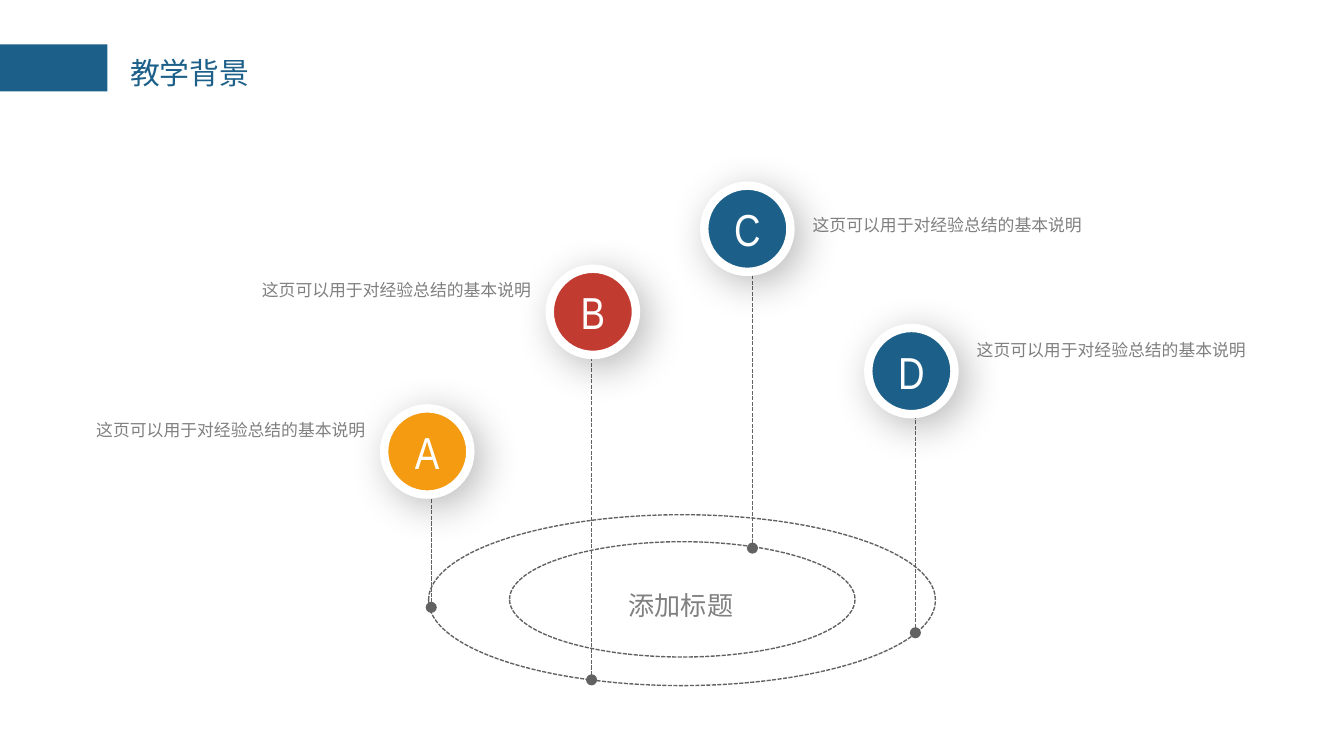
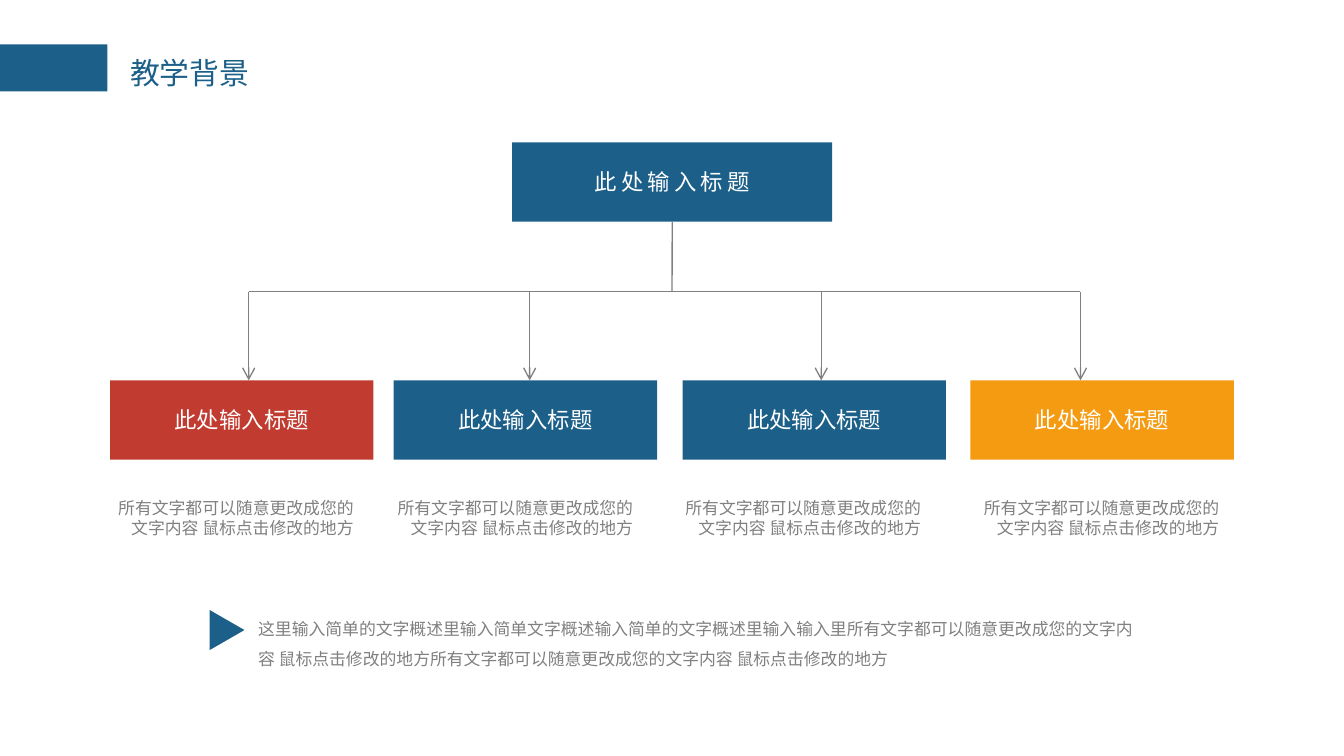
from lxml.etree import SubElement
from pptx import Presentation
from pptx.dml.color import RGBColor
from pptx.enum.dml import MSO_LINE
from pptx.enum.shapes import MSO_CONNECTOR, MSO_SHAPE
from pptx.enum.text import MSO_ANCHOR, MSO_AUTO_SIZE, PP_ALIGN
from pptx.oxml.ns import qn
from pptx.util import Cm, Pt

BLUE, RED, GOLD = "1C6089", "C13B30", "F59B11"
GREY, DARK, WHITE = "808080", "626262", "FFFFFF"
SANS = "Noto Sans CJK SC"
WIDE, SLIM = (0.25, 0.13), (0.18, 0.1)  # text insets: sides, top and bottom


def rgb(code):
    return RGBColor.from_string(code)


class Deck:
    def __init__(self):
        self.prs = Presentation()
        self.prs.slide_width, self.prs.slide_height = Cm(25.4), Cm(14.29)
        self.slide = None

    def page(self, title):
        """Start a slide with the blue band and its title."""
        self.slide = self.prs.slides.add_slide(self.prs.slide_layouts[5])
        self.shape(MSO_SHAPE.RECTANGLE, 0, 0.84, 2.03, 0.89, BLUE)
        head = self.slide.shapes.title
        head.left, head.top, head.width, head.height = map(Cm, (2.26, 0.94, 2.67, 0.89))
        self.label(head, title, 16, BLUE, "Calibri", pad=(0.2, 0.1), wrap=False)

    def label(self, shape, text, size, color, font=SANS, align=PP_ALIGN.LEFT,
              pad=(0, 0), wrap=True, anchor=MSO_ANCHOR.TOP, space=None, track=0):
        frame = shape.text_frame
        frame.text = text
        frame.auto_size = MSO_AUTO_SIZE.NONE
        frame.word_wrap = wrap
        frame.vertical_anchor = anchor
        frame.margin_left = frame.margin_right = Cm(pad[0])
        frame.margin_top = frame.margin_bottom = Cm(pad[1])
        para = frame.paragraphs[0]
        para.alignment = align
        para.line_spacing = space
        run = para.runs[0]
        run.font.size, run.font.name = Pt(size), font
        run.font.color.rgb = rgb(color)
        props = run._r.get_or_add_rPr()
        SubElement(props, qn("a:ea")).set("typeface", SANS)
        if track:
            props.set("spc", str(track))

    def text(self, x, y, w, h, text, size=9, **style):
        box = self.slide.shapes.add_textbox(Cm(x), Cm(y), Cm(w), Cm(h))
        self.label(box, text, size, GREY, **style)

    def shape(self, kind, x, y, w, h, fill=None):
        item = self.slide.shapes.add_shape(kind, Cm(x), Cm(y), Cm(w), Cm(h))
        item.shadow.inherit = False
        if fill:
            item.fill.solid()
            item.fill.fore_color.rgb = rgb(fill)
        else:
            item.fill.background()
        item.line.fill.background()
        return item

    def block(self, x, y, w, h, fill, text, track=0):
        item = self.shape(MSO_SHAPE.RECTANGLE, x, y, w, h, fill)
        self.label(item, text, 12, WHITE, align=PP_ALIGN.CENTER,
                   anchor=MSO_ANCHOR.MIDDLE, track=track)
        return item

    def stroke(self, item, color, width=0.75, dash=None):
        item.line.color.rgb = rgb(color)
        item.line.width = Pt(width)
        if dash:
            item.line.dash_style = dash

    def ring(self, x, y, w, h):
        item = self.shape(MSO_SHAPE.OVAL, x, y, w, h)
        self.stroke(item, DARK, dash=MSO_LINE.SQUARE_DOT)

    def badge(self, x, y, size, fill, letter):
        item = self.shape(MSO_SHAPE.OVAL, x, y, size, size, fill)
        self.stroke(item, WHITE, 4.5)
        self.label(item, letter, 24, WHITE, "Arial Narrow", PP_ALIGN.CENTER,
                   wrap=False, anchor=MSO_ANCHOR.MIDDLE)
        # Soft shadow to the lower right
        glow = SubElement(item._element.spPr.find(qn("a:effectLst")), qn("a:outerShdw"),
                          blurRad=str(Pt(22)), dist=str(Pt(6)), dir="2700000",
                          algn="tl", rotWithShape="0")
        tint = SubElement(glow, qn("a:srgbClr"), val="000000")
        SubElement(tint, qn("a:alpha"), val="28000")

    def link(self, x1, y1, x2, y2, color, dash=None, head=None, tail=None):
        line = self.slide.shapes.add_connector(
            MSO_CONNECTOR.STRAIGHT, Cm(x1), Cm(y1), Cm(x2), Cm(y2))
        self.stroke(line, color, dash=dash)
        props = line._element.spPr
        for tag, kind in (("a:headEnd", head), ("a:tailEnd", tail)):
            if kind:
                SubElement(props.find(qn("a:ln")), qn(tag), type=kind)
        SubElement(props, qn("a:effectLst"))
        return line


def orbit(deck):
    deck.page("教学背景")
    # Letter, colour, badge x and y, stem x and foot, label y, label on the left
    marks = [
        ("A", GOLD, 7.26, 7.72, 8.15, 11.48, 7.72, True),
        ("B", RED, 10.39, 5.08, 11.18, 12.85, 5.08, True),
        ("C", BLUE, 13.31, 3.51, 14.22, 10.36, 3.86, False),
        ("D", BLUE, 16.41, 6.2, 17.3, 11.96, 6.22, False),
    ]
    # Stems and labels
    for _, _, x, y, stem, foot, row, left in marks:
        deck.link(stem, foot, stem, y + 1.24, DARK, MSO_LINE.SQUARE_DOT, "oval", "oval")
        deck.text(x - 5.88 if left else x + 1.8, row, 5.77, 0.71,
                  "这页可以用于对经验总结的基本说明", pad=WIDE, space=1.2,
                  align=PP_ALIGN.RIGHT if left else PP_ALIGN.LEFT)
    # Rings and their caption
    deck.ring(8.1, 9.73, 9.58, 3.23)
    deck.ring(9.63, 10.24, 6.53, 2.18)
    deck.text(11.63, 10.9, 2.51, 0.97, "添加标题", 14, align=PP_ALIGN.JUSTIFY,
              pad=WIDE, wrap=False, anchor=MSO_ANCHOR.MIDDLE, space=1.2)
    # Badges
    for letter, fill, x, y, *_ in marks:
        deck.badge(x, y, 1.63, fill, letter)


def tree(deck):
    deck.page("教学背景")
    label, bus, top = "此处输入标题", 5.51, 7.19
    # Colour, block x, arrow x, note x
    parts = [
        (RED, 2.08, 4.7, 1.83),
        (BLUE, 7.44, 10.01, 7.11),
        (BLUE, 12.9, 15.52, 12.55),
        (GOLD, 18.34, 20.42, 18.19),
    ]
    # Root block and its branches
    root = deck.block(9.68, 2.69, 6.05, 1.5, BLUE, label, track=220)
    trunk = deck.link(12.7, 4.19, 12.7, bus, GREY)
    trunk.begin_connect(root, 2)
    deck.link(parts[0][2], bus, parts[-1][2], bus, GREY)
    # Child blocks with notes
    for fill, x, arrow, note in parts:
        deck.link(arrow, bus, arrow, top, GREY, tail="arrow")
        deck.block(x, top, 4.98, 1.5, fill, label)
        deck.text(note, 9.3, 5.03, 0.97,
                  "所有文字都可以随意更改成您的文字内容 鼠标点击修改的地方",
                  align=PP_ALIGN.RIGHT, pad=SLIM)
    # Summary
    play = deck.shape(MSO_SHAPE.ISOSCELES_TRIANGLE, 3.91, 11.58, 0.76, 0.66, BLUE)
    play.rotation = 90
    deck.text(4.7, 11.4, 17.02, 2.49,
              "这里输入简单的文字概述里输入简单文字概述输入简单的文字概述里输入输入里"
              "所有文字都可以随意更改成您的文字内容 鼠标点击修改的地方"
              "所有文字都可以随意更改成您的文字内容 鼠标点击修改的地方",
              pad=SLIM, space=1.5)


def main():
    deck = Deck()
    orbit(deck)
    tree(deck)
    deck.prs.save("out.pptx")


if __name__ == "__main__":
    main()
